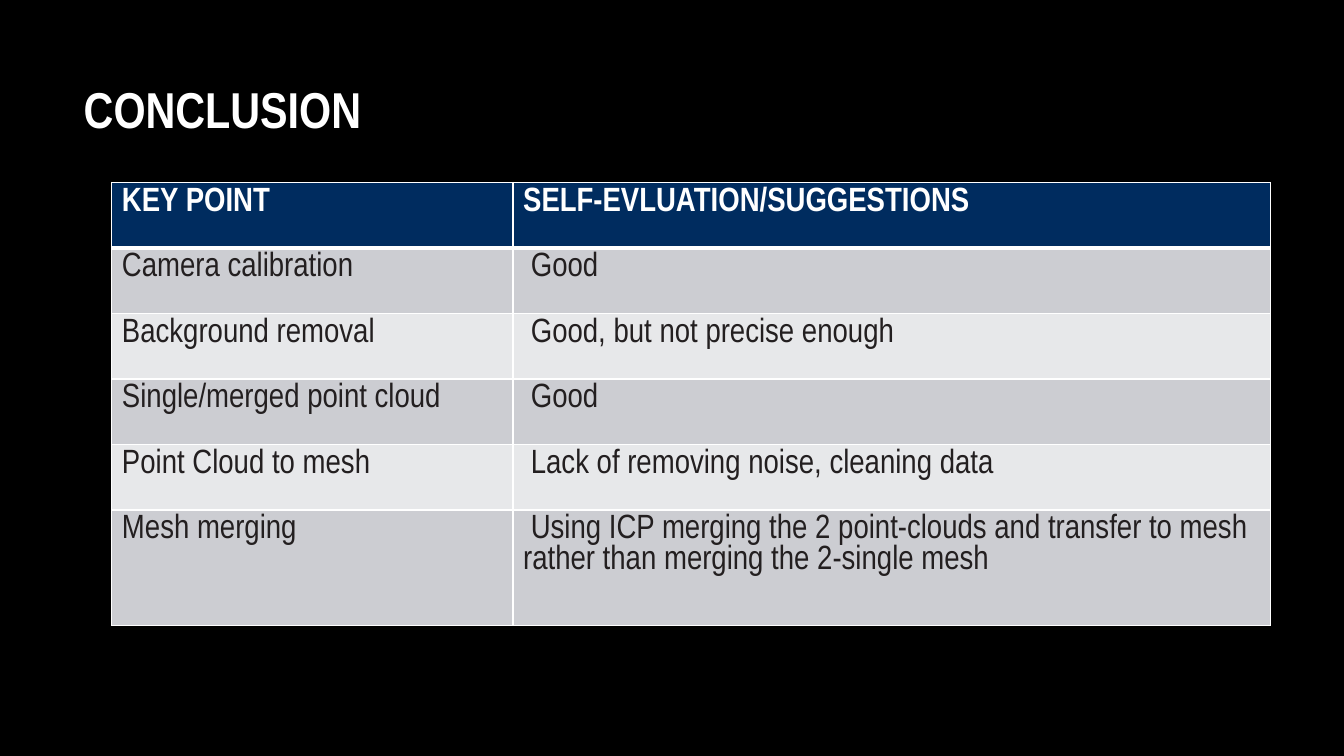
from typing import NamedTuple

from lxml.etree import SubElement
from pptx import Presentation
from pptx.dml.color import RGBColor
from pptx.enum.text import MSO_ANCHOR, MSO_AUTO_SIZE, PP_ALIGN
from pptx.oxml.ns import qn
from pptx.util import Cm, Pt

BLACK = RGBColor(0x00, 0x00, 0x00)
WHITE = RGBColor(0xFF, 0xFF, 0xFF)
NAVY = RGBColor(0x00, 0x2C, 0x5F)
INK = RGBColor(0x23, 0x1F, 0x20)
BAND_DARK = RGBColor(0xCC, 0xCD, 0xD2)
BAND_LIGHT = RGBColor(0xE7, 0xE8, 0xEA)
FONT = "Arial Narrow"


class Row(NamedTuple):
    key_point: str
    evaluation: str
    height: float = 1.65


HEADER = Row("KEY POINT", "SELF-EVLUATION/SUGGESTIONS")
BODY = [
    Row("Camera calibration", " Good"),
    Row("Background removal", " Good, but not precise enough"),
    Row("Single/merged point cloud", " Good"),
    Row("Point Cloud to mesh", " Lack of removing noise, cleaning data"),
    Row("Mesh merging", " Using ICP merging the 2 point-clouds and transfer to mesh "
        "rather than merging the 2-single mesh", 2.92),
]
COLUMN_WIDTHS = (10.11, 19.08)


def write(tf, text: str, size: float, spacing: float, color: RGBColor, bold: bool) -> None:
    p = tf.paragraphs[0]
    p.alignment = PP_ALIGN.LEFT
    p.line_spacing = Pt(spacing)
    p.space_before = p.space_after = Pt(0)
    r = p.add_run()
    r.text = text
    r.font.name = FONT
    r.font.size = Pt(size)
    r.font.bold = bold
    r.font.color.rgb = color


def set_borders(cell, top: float, bottom: float) -> None:
    """Draw white borders, with widths in points; the sides are 1 pt."""
    tc_pr = cell._tc.get_or_add_tcPr()
    widths = {"a:lnL": 1, "a:lnR": 1, "a:lnT": top, "a:lnB": bottom}
    for i, (tag, width) in enumerate(widths.items()):
        ln = SubElement(tc_pr, qn(tag), w=str(Pt(width)))
        SubElement(SubElement(ln, qn("a:solidFill")), qn("a:srgbClr"), val=str(WHITE))
        tc_pr.insert(i, ln)


def add_title(s, text: str) -> None:
    title = s.shapes.title
    title.left, title.top, title.width, title.height = Cm(2.11), Cm(2.11), Cm(30.71), Cm(1.93)
    tf = title.text_frame
    tf.margin_left = tf.margin_top = tf.margin_right = tf.margin_bottom = 0
    tf.vertical_anchor = MSO_ANCHOR.TOP
    tf.auto_size = MSO_AUTO_SIZE.NONE
    tf.word_wrap = True
    write(tf, text, 36, 39, WHITE, True)


def add_evaluation_table(s) -> None:
    rows = [HEADER, *BODY]
    table = s.shapes.add_table(
        len(rows), len(COLUMN_WIDTHS), Cm(2.82), Cm(4.6),
        Cm(sum(COLUMN_WIDTHS)), Cm(sum(row.height for row in rows))).table
    for column, width in zip(table.columns, COLUMN_WIDTHS):
        column.width = Cm(width)
    for i, row in enumerate(rows):
        table.rows[i].height = Cm(row.height)
        is_header = i == 0
        band = BAND_DARK if i % 2 else BAND_LIGHT
        for j, text in enumerate((row.key_point, row.evaluation)):
            cell = table.cell(i, j)
            cell.fill.solid()
            cell.fill.fore_color.rgb = NAVY if is_header else band
            set_borders(cell, top=3 if i == 1 else 1, bottom=3 if is_header else 1)
            write(cell.text_frame, text, 24, 22, WHITE if is_header else INK, is_header)


def main() -> None:
    prs = Presentation()
    prs.slide_width, prs.slide_height = Cm(33.87), Cm(19.05)
    s = prs.slides.add_slide(prs.slide_layouts[5])
    s.background.fill.solid()
    s.background.fill.fore_color.rgb = BLACK
    add_title(s, "CONCLUSION")
    add_evaluation_table(s)
    prs.save("out.pptx")


if __name__ == "__main__":
    main()
